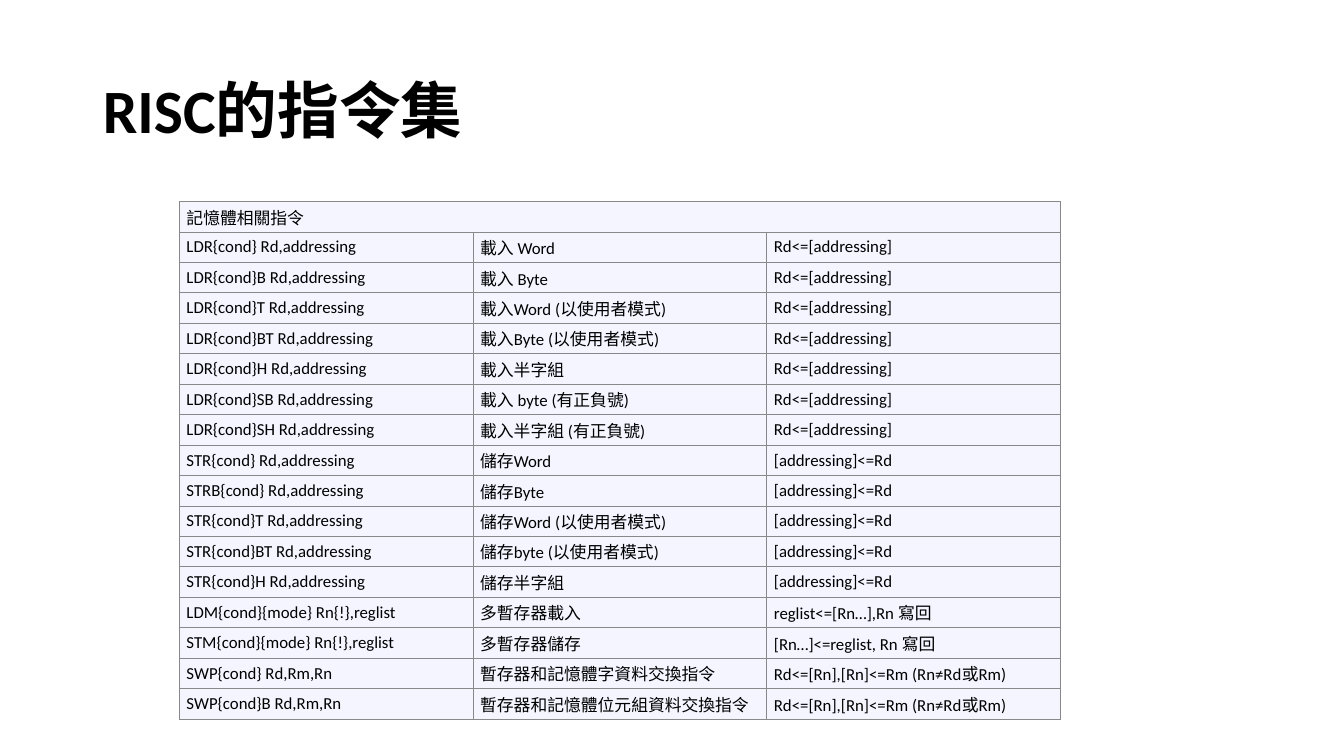
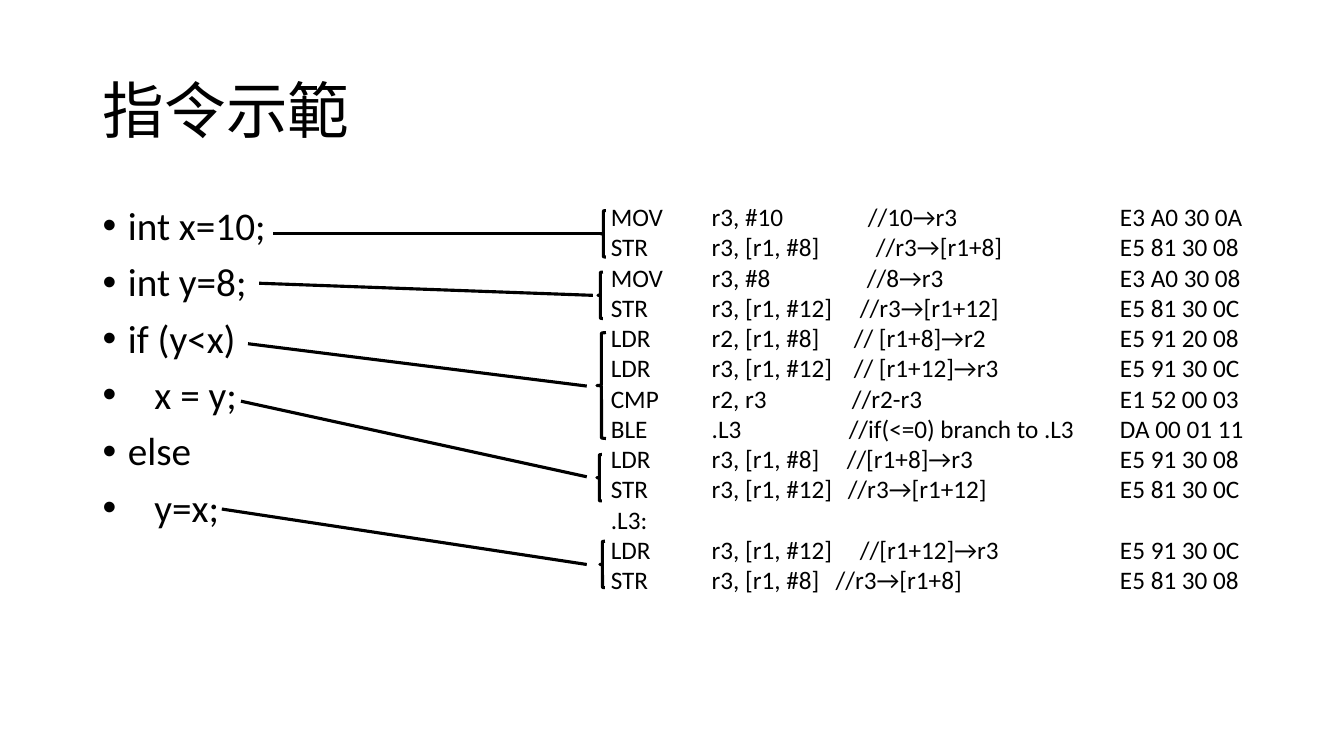
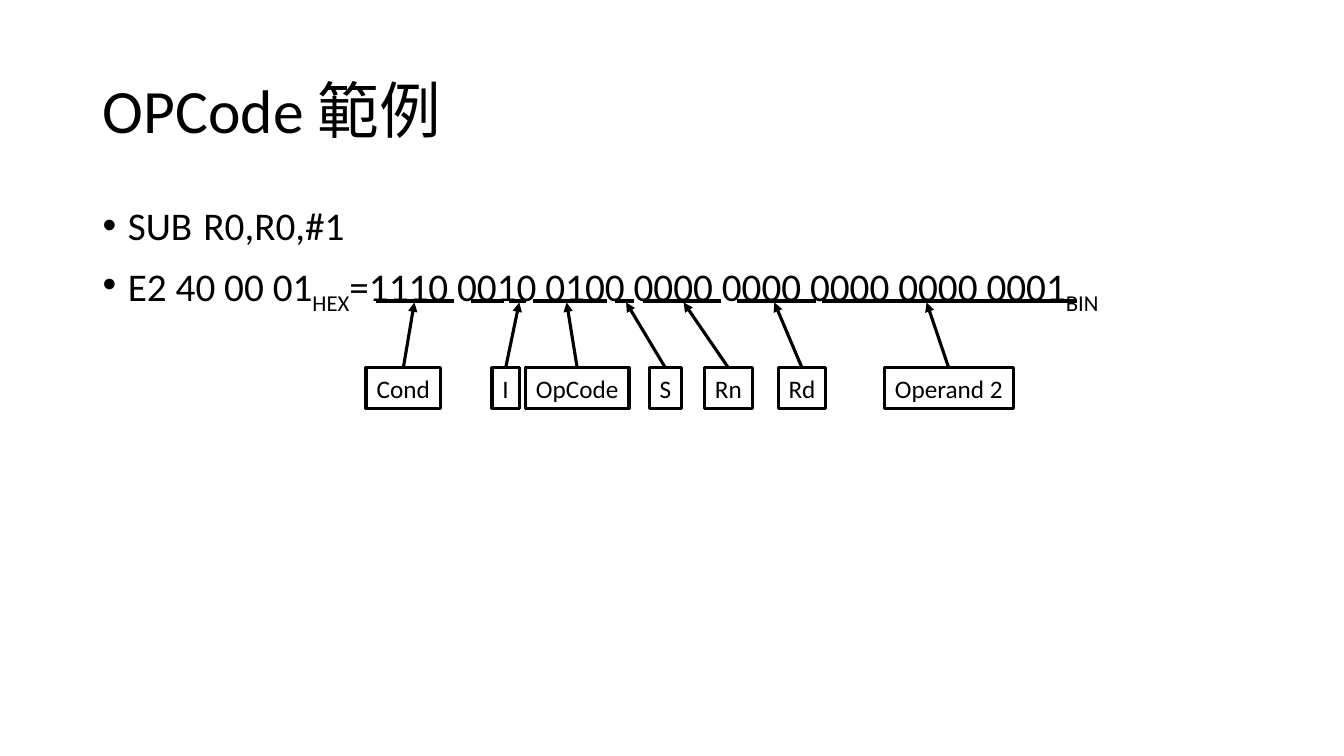
from lxml import etree
from pptx import Presentation
from pptx import util as u
from pptx.dml import color
from pptx.enum import shapes, text
from pptx.oxml import ns

PX = 9144
FONT = "Calibri"
COLORS = {"ink": "000000", "cell": "F4F5FF", "border": "888888"}
TITLE_BOX = (92, 40, 1150, 145)

LOAD = "Rd<=[addressing]"
STORE = "[addressing]<=Rd"
SWAP = "Rd<=[Rn],[Rn]<=Rm (Rn≠Rd或Rm)"
MEMORY_ROWS = [
    ("記憶體相關指令", "", ""),
    ("LDR{cond} Rd,addressing", "載入 Word", LOAD),
    ("LDR{cond}B Rd,addressing", "載入 Byte", LOAD),
    ("LDR{cond}T Rd,addressing", "載入Word (以使用者模式)", LOAD),
    ("LDR{cond}BT Rd,addressing", "載入Byte (以使用者模式)", LOAD),
    ("LDR{cond}H Rd,addressing", "載入半字組", LOAD),
    ("LDR{cond}SB Rd,addressing", "載入 byte (有正負號)", LOAD),
    ("LDR{cond}SH Rd,addressing", "載入半字組 (有正負號)", LOAD),
    ("STR{cond} Rd,addressing", "儲存Word", STORE),
    ("STRB{cond} Rd,addressing", "儲存Byte", STORE),
    ("STR{cond}T Rd,addressing", "儲存Word (以使用者模式)", STORE),
    ("STR{cond}BT Rd,addressing", "儲存byte (以使用者模式)", STORE),
    ("STR{cond}H Rd,addressing", "儲存半字組", STORE),
    ("LDM{cond}{mode} Rn{!},reglist", "多暫存器載入", "reglist<=[Rn…],Rn 寫回"),
    ("STM{cond}{mode} Rn{!},reglist", "多暫存器儲存", "[Rn…]<=reglist, Rn 寫回"),
    ("SWP{cond} Rd,Rm,Rn", "暫存器和記憶體字資料交換指令", SWAP),
    ("SWP{cond}B Rd,Rm,Rn", "暫存器和記憶體位元組資料交換指令", SWAP),
]

SOURCE_LINES = ["int x=10;", "int y=8;", "if (y<x)", "   x = y;", "else", "   y=x;"]
OPERAND_STOP, HEX_STOP = 100, 505
ASSEMBLY = [
    (255, "MOV", "r3, #10", "//10→r3", "E3 A0 30 0A"),
    (263, "STR", "r3, [r1, #8]", "//r3→[r1+8]", "E5 81 30 08"),
    (254, "MOV", "r3, #8", "//8→r3", "E3 A0 30 08"),
    (247, "STR", "r3, [r1, #12]", "//r3→[r1+12]", "E5 81 30 0C"),
    (241, "LDR", "r2, [r1, #8]", "// [r1+8]→r2", "E5 91 20 08"),
    (241, "LDR", "r3, [r1, #12]", "// [r1+12]→r3", "E5 91 30 0C"),
    (239, "CMP", "r2, r3", "//r2-r3", "E1 52 00 03"),
    (236, "BLE", ".L3", "//if(<=0) branch to .L3", "DA 00 01 11"),
    (234, "LDR", "r3, [r1, #8]", "//[r1+8]→r3", "E5 91 30 08"),
    (235, "STR", "r3, [r1, #12]", "//r3→[r1+12]", "E5 81 30 0C"),
    (235, ".L3:"),
    (247, "LDR", "r3, [r1, #12]", "//[r1+12]→r3", "E5 91 30 0C"),
    (223, "STR", "r3, [r1, #8]", "//r3→[r1+8]", "E5 81 30 08"),
]
BRACES = [(596, 209, 5, 46), (593, 270, 5, 46), (592, 330, 9, 105),
          (592, 451, 5, 46), (595, 537, 5, 46)]
LINKS = [((271, 232), (596, 232)), ((257, 281), (588, 293)),
         ((246, 341), (582, 383)), ((239, 398), (582, 473)),
         ((220, 505), (582, 560))]

UNDERLINES = [(373, 450), (467, 500), (505, 522), (529, 602),
              (610, 629), (638, 715), (731, 809), (815, 1068)]
FIELDS = [("Cond", 363, 74, 411), ("I", 488, 27, 515), ("OpCode", 521, 103, 562),
          ("S", 644, 32, 621), ("Rn", 699, 47, 678), ("Rd", 772, 47, 768),
          ("Operand 2", 877, 128, 919)]


def emu(*lengths):
    """Turn px lengths into EMU."""
    return [u.Emu(length * PX) for length in lengths]


def rgb(name):
    """Look up a named colour."""
    return color.RGBColor.from_string(COLORS[name])


def add_xml(parent, tag, **attributes):
    """Append a DrawingML element."""
    return etree.SubElement(parent, ns.qn(tag), attributes)


def write(para, words, size=18, bold=False, baseline=0):
    """Add one formatted span to a paragraph."""
    span = para.add_run()
    span.text = words
    span.font.name, span.font.size, span.font.bold = FONT, u.Pt(size), bold
    span.font.color.rgb = rgb("ink")
    if baseline:
        span.font._element.set("baseline", str(baseline * 1000))


def add_paras(frame, count):
    """Yield the first paragraph of a frame and then new ones."""
    for index in range(count):
        yield index, frame.add_paragraph() if index else frame.paragraphs[0]


def set_outline(line, weight):
    """Give a line the ink colour and a weight."""
    line.color.rgb = rgb("ink")
    line.width = u.Pt(weight)


def add_page(deck, title, bold=False):
    """Add a title-only page with its title."""
    page = deck.slides.add_slide(deck.slide_layouts[5])
    box = page.shapes.title
    box.left, box.top, box.width, box.height = emu(*TITLE_BOX)
    frame = box.text_frame
    frame.auto_size = text.MSO_AUTO_SIZE.NONE
    frame.vertical_anchor = text.MSO_ANCHOR.MIDDLE
    para = frame.paragraphs[0]
    para.alignment, para.line_spacing = text.PP_ALIGN.LEFT, 0.9
    write(para, title, size=44, bold=bold)
    return page


def add_bullets(page, box, items):
    """Fill a box with bulleted lines of (words, baseline) spans."""
    frame = page.shapes.add_textbox(*emu(*box)).text_frame
    frame.word_wrap = True
    for index, para in add_paras(frame, len(items)):
        para.line_spacing = 0.9
        para.space_before = u.Pt(10 if index else 0)
        props = para._p.get_or_add_pPr()
        props.set("marL", str(25 * PX))
        props.set("indent", str(-25 * PX))
        add_xml(props, "a:buFont", typeface="Arial")
        add_xml(props, "a:buChar", char="•")
        for words, baseline in items[index]:
            write(para, words, size=28, baseline=baseline)


def add_shape(page, kind, box, weight=2.25):
    """Add an unfilled outlined shape."""
    shape = page.shapes.add_shape(kind, *emu(*box))
    shape.shadow.inherit = False
    shape.fill.background()
    set_outline(shape.line, weight)
    return shape


def add_line(page, start, end, weight=2.25, source=None):
    """Draw a line, or an arrow that leaves the top of a source box."""
    line = page.shapes.add_connector(shapes.MSO_CONNECTOR.STRAIGHT, *emu(*start, *end))
    set_outline(line.line, weight)
    if source is not None:
        line.begin_connect(source, 0)
        add_xml(line.line._get_or_add_ln(), "a:tailEnd", type="triangle")
    add_xml(line._element.spPr, "a:effectLst")


def format_cell(cell, words):
    """Fill, border and letter one table cell."""
    cell.margin_left = cell.margin_right = u.Emu(7 * PX)
    cell.margin_top = cell.margin_bottom = u.Emu(3 * PX)
    cell.vertical_anchor = text.MSO_ANCHOR.MIDDLE
    props = cell._tc.get_or_add_tcPr()
    for side in "LRTB":
        border = add_xml(props, "a:ln" + side, w=str(u.Pt(0.75)))
        add_xml(add_xml(border, "a:solidFill"), "a:srgbClr", val=COLORS["border"])
    cell.fill.solid()
    cell.fill.fore_color.rgb = rgb("cell")
    if words:
        write(cell.text_frame.paragraphs[0], words, size=12)


def add_instruction_table(page, box, rows):
    """Build the table whose first row spans all columns."""
    table = page.shapes.add_table(len(rows), len(rows[0]), *emu(*box)).table
    table.first_row = table.horz_banding = False
    for row, entries in enumerate(rows):
        table.rows[row].height = u.Emu(28 * PX)
        for column, words in enumerate(entries):
            format_cell(table.cell(row, column), words)
    table.cell(0, 0).merge(table.cell(0, len(rows[0]) - 1))


def add_listing(page, box, rows):
    """Write the assembly listing on tab stops."""
    frame = page.shapes.add_textbox(*emu(*box)).text_frame
    frame.word_wrap = True
    for index, para in add_paras(frame, len(rows)):
        comment_stop, *parts = rows[index]
        stops = add_xml(para._p.get_or_add_pPr(), "a:tabLst")
        for stop in (OPERAND_STOP, comment_stop, HEX_STOP):
            add_xml(stops, "a:tab", pos=str(stop * PX), algn="l")
        write(para, "\t".join(parts))


def add_fields(page, box):
    """Underline the bit fields and point labelled boxes at them."""
    left, top, width, height = box
    for start, end in UNDERLINES:
        add_line(page, (start, top), (end, top), weight=3)
    label_top = top + height - 40
    for words, start, size, target in FIELDS:
        label = add_shape(page, shapes.MSO_SHAPE.RECTANGLE, (start, label_top, size, 40))
        frame = label.text_frame
        frame.word_wrap = False
        frame.auto_size = text.MSO_AUTO_SIZE.SHAPE_TO_FIT_TEXT
        frame.paragraphs[0].alignment = text.PP_ALIGN.CENTER
        write(frame.paragraphs[0], words)
        add_line(page, (start, label_top), (target, top + 1), source=label)


def build_table_page(deck):
    """Build the instruction set page."""
    page = add_page(deck, "RISC的指令集", bold=True)
    add_instruction_table(page, (178, 200, 874, 476), MEMORY_ROWS)


def build_listing_page(deck):
    """Build the page that links source lines to assembly."""
    page = add_page(deck, "指令示範")
    add_bullets(page, (92, 200, 480, 476), [[(words, 0)] for words in SOURCE_LINES])
    add_listing(page, (596, 195, 708, 404), ASSEMBLY)
    for brace in BRACES:
        add_shape(page, shapes.MSO_SHAPE.LEFT_BRACE, brace)
    for start, end in LINKS:
        add_line(page, start, end)


def build_opcode_page(deck):
    """Build the page that splits an instruction into fields."""
    page = add_page(deck, "OPCode 範例")
    add_bullets(page, (92, 200, 1150, 476), [
        [("SUB\tR0,R0,#1", 0)],
        [("E2 40 00 01", 0), ("HEX", -25),
         ("=1110 0010 0100 0000 0000 0000 0000 0001", 0), ("BIN", -25)],
    ])
    add_fields(page, (363, 299, 705, 106))


def main():
    """Build and save the deck."""
    deck = Presentation()
    deck.slide_width, deck.slide_height = u.Inches(13.33), u.Inches(7.5)
    build_table_page(deck)
    build_listing_page(deck)
    build_opcode_page(deck)
    deck.save("out.pptx")


if __name__ == "__main__":
    main()
